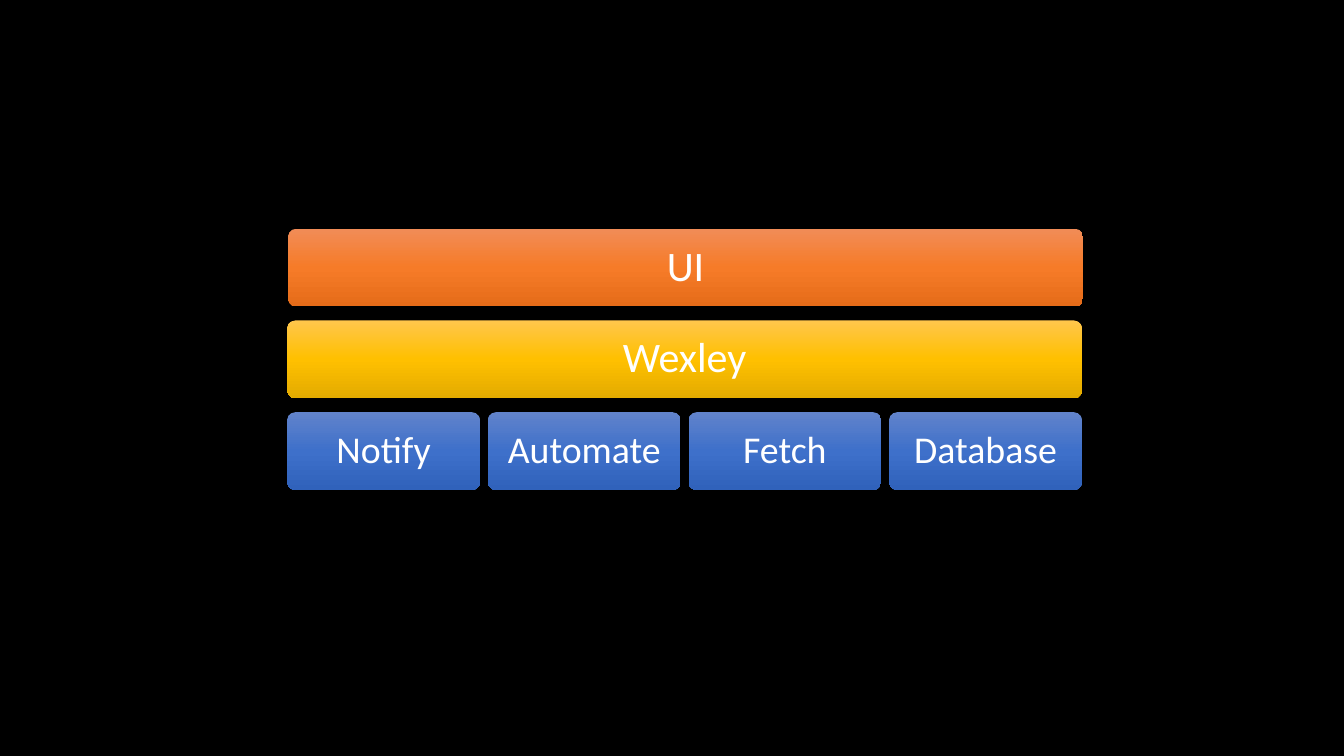
from copy import deepcopy
from dataclasses import dataclass

from pptx import Presentation
from pptx.dml.color import RGBColor
from pptx.enum import shapes, text
from pptx.oxml.ns import qn
from pptx.slide import Slide
from pptx.util import Inches, Pt

BLACK = RGBColor(0x00, 0x00, 0x00)
WHITE = RGBColor(0xFF, 0xFF, 0xFF)
# Gradients run from top to bottom
ORANGE = (RGBColor(0xF1, 0x8C, 0x57), RGBColor(0xF6, 0x7B, 0x28), RGBColor(0xE5, 0x6C, 0x19))
GOLD = (RGBColor(0xFF, 0xC6, 0x4B), RGBColor(0xFF, 0xC0, 0x00), RGBColor(0xE3, 0xAB, 0x00))
BLUE = (RGBColor(0x61, 0x83, 0xCB), RGBColor(0x3E, 0x70, 0xCA), RGBColor(0x30, 0x62, 0xBB))

STACK_TOP = 2.27
LAYER_PITCH = 0.91
BLOCK_HEIGHT = 0.77
SERVICE_PITCH = 1.99


@dataclass
class Block:
    label: str
    left: float
    width: float
    layer: int
    colours: tuple[RGBColor, RGBColor, RGBColor]
    size: int = 30
    inset: float = 0.12


def draw_block(slide: Slide, block: Block) -> None:
    """Draw one rounded block of the architecture stack."""
    body = slide.shapes.add_shape(
        shapes.MSO_SHAPE.ROUNDED_RECTANGLE,
        Inches(block.left), Inches(STACK_TOP + block.layer * LAYER_PITCH),
        Inches(block.width), Inches(BLOCK_HEIGHT))
    body.adjustments[0] = 0.1
    body.shadow.inherit = False
    body.line.fill.background()

    # Three-stop vertical gradient
    body.fill.gradient()
    body.fill.gradient_angle = 270
    stops = body._element.spPr.find(qn("a:gradFill")).find(qn("a:gsLst"))
    stops.insert(1, deepcopy(stops[0]))
    for stop, position, colour in zip(body.fill.gradient_stops, (0, 0.5, 1), block.colours):
        stop.position = position
        stop.color.rgb = colour

    # Centred label
    frame = body.text_frame
    frame.word_wrap = True
    frame.vertical_anchor = text.MSO_ANCHOR.MIDDLE
    frame.margin_left = frame.margin_right = Inches(block.inset)
    frame.margin_top = frame.margin_bottom = Inches(block.inset)
    paragraph = frame.paragraphs[0]
    paragraph.alignment = text.PP_ALIGN.CENTER
    paragraph.line_spacing = 0.9
    label = paragraph.add_run()
    label.text = block.label
    label.font.name = "Calibri"
    label.font.size = Pt(block.size)
    label.font.color.rgb = WHITE


# Slide with black background
deck = Presentation()
deck.slide_width, deck.slide_height = Inches(13.33), Inches(7.5)
slide = deck.slides.add_slide(deck.slide_layouts[6])
slide.background.fill.solid()
slide.background.fill.fore_color.rgb = BLACK

# Upper layers, then the row of services
stack = [
    Block("UI", 2.86, 7.88, 0, ORANGE),
    Block("Wexley", 2.85, 7.88, 1, GOLD),
]
services = ("Notify", "Automate", "Fetch", "Database")
stack += [
    Block(service, 2.85 + column * SERVICE_PITCH, 1.91, 2, BLUE, size=27, inset=0.11)
    for column, service in enumerate(services)
]
for block in stack:
    draw_block(slide, block)

deck.save("out.pptx")
